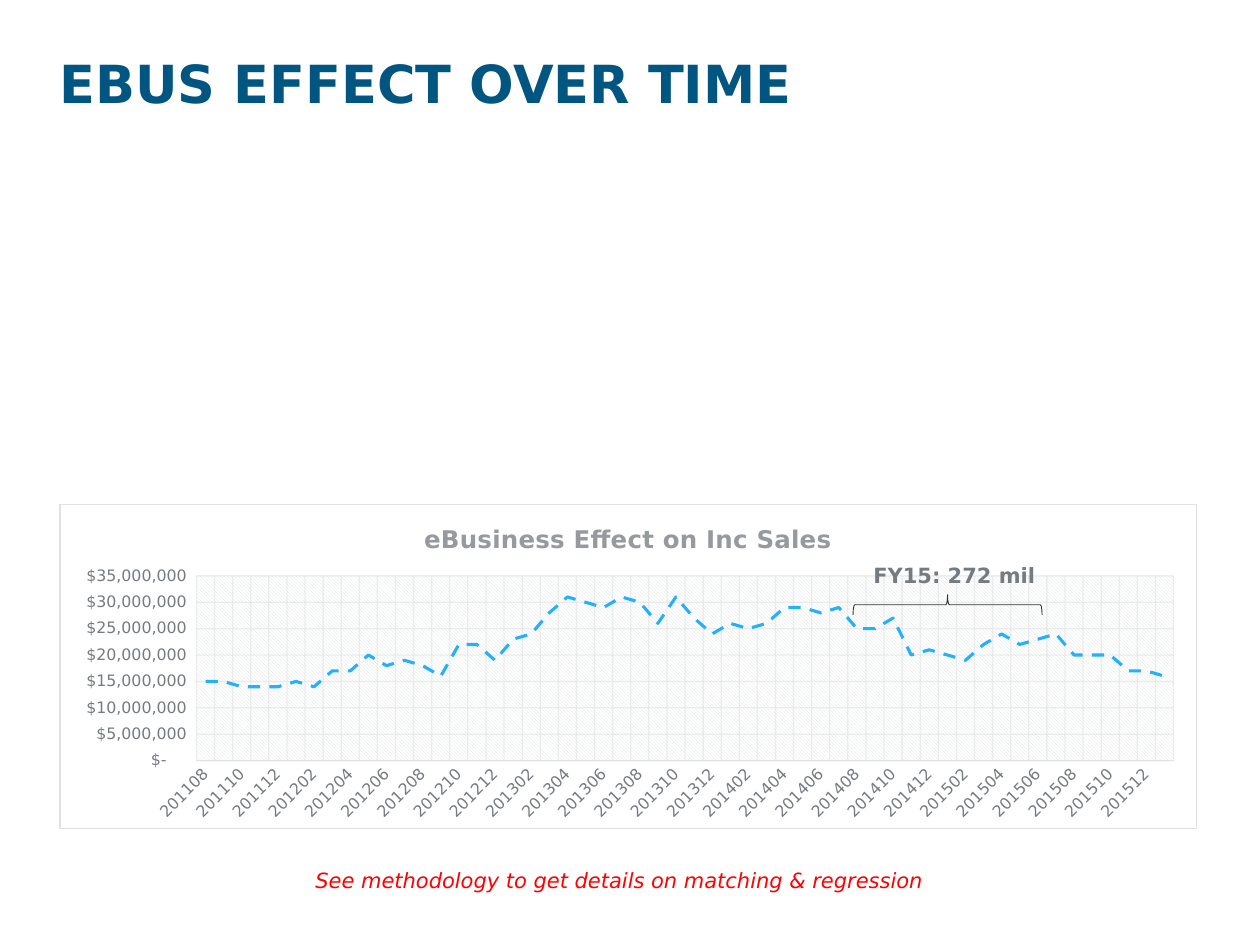
from dataclasses import dataclass

from lxml import etree
from pptx import Presentation
from pptx.chart.data import CategoryChartData as ChartData
from pptx.dml.color import RGBColor as Color
from pptx.enum.chart import XL_CHART_TYPE as ChartType, XL_TICK_MARK as Tick
from pptx.enum.dml import MSO_LINE as Dash
from pptx.enum.shapes import MSO_SHAPE as Preset
from pptx.enum.text import MSO_ANCHOR as Anchor, MSO_AUTO_SIZE as AutoSize, PP_ALIGN as Align
from pptx.oxml import parse_xml
from pptx.oxml.ns import nsdecls, qn
from pptx.util import Pt


@dataclass(frozen=True)
class Theme:
    face: str = "DejaVu Sans"
    heading: str = "005581"
    accent: str = "22B0FF"
    warning: str = "FF0000"
    dark: str = "323436"
    label: str = "767B80"
    caption: str = "96999D"
    rule: str = "DFE1E2"
    paper: str = "FFFFFF"
    title_size: float = 30
    caption_size: float = 14
    note_size: float = 12
    chart_size: float = 10
    axis_size: float = 9


def assign(target, values):
    for name, value in values.items():
        setattr(target, name, value)


class Page:
    def __init__(self, deck, theme):
        self.theme = theme
        self.slide = deck.slides.add_slide(deck.slide_layouts[5])

    def style(self, font, size, color, **values):
        assign(font, {"name": self.theme.face, "size": Pt(size), **values})
        font.color.rgb = Color.from_string(color)

    def stroke(self, line, color, width):
        line.color.rgb = Color.from_string(color)
        line.width = Pt(width)

    def title(self, text, left, top, width, height):
        box = self.slide.shapes.title
        assign(box, {"left": Pt(left), "top": Pt(top), "width": Pt(width), "height": Pt(height)})
        frame = box.text_frame
        margins = {f"margin_{side}": 0 for side in ("left", "top", "right", "bottom")}
        assign(frame, {**margins, "vertical_anchor": Anchor.TOP,
                       "auto_size": AutoSize.NONE, "word_wrap": True})
        para = frame.paragraphs[0]
        assign(para, {"alignment": Align.LEFT, "line_spacing": 0.9})
        span = para.add_run()
        span.text = text
        self.style(span.font, self.theme.title_size, self.theme.heading, bold=True)

    def note(self, text, left, top, width, height, color, align, **values):
        box = self.slide.shapes.add_textbox(Pt(left), Pt(top), Pt(width), Pt(height))
        assign(box.text_frame, {"word_wrap": False, "auto_size": AutoSize.SHAPE_TO_FIT_TEXT})
        para = box.text_frame.paragraphs[0]
        para.alignment = align
        span = para.add_run()
        span.text = text
        self.style(span.font, self.theme.note_size, color, **values)

    def brace(self, left, top, width, height):
        shape = self.slide.shapes.add_shape(
            Preset.LEFT_BRACE, Pt(left), Pt(top), Pt(width), Pt(height))
        shape.rotation = 90
        shape.shadow.inherit = False
        shape.fill.background()
        self.stroke(shape.line, self.theme.dark, 0.5)

    def axis(self, axis):
        assign(axis, {"has_major_gridlines": True, "major_tick_mark": Tick.NONE,
                      "minor_tick_mark": Tick.NONE})
        self.style(axis.tick_labels.font, self.theme.axis_size, self.theme.label)
        grid = axis.major_gridlines.format.line
        self.stroke(grid, self.theme.rule, 0.75)
        grid.dash_style = Dash.SOLID
        for color in axis.major_gridlines._xAx.find(qn("c:majorGridlines")).iter(qn("a:srgbClr")):
            etree.SubElement(color, qn("a:alpha"), val="54000")

    def chart_surfaces(self, chart, layout):
        theme = self.theme
        root = chart._chartSpace
        root.find(qn("c:chart")).addnext(parse_xml(
            f'<c:spPr {nsdecls("c", "a")}>'
            f'<a:solidFill><a:srgbClr val="{theme.paper}"/></a:solidFill>'
            f'<a:ln w="9525"><a:solidFill><a:srgbClr val="{theme.rule}"/></a:solidFill></a:ln>'
            '</c:spPr>'))
        area = root.find(qn("c:chart")).find(qn("c:plotArea"))
        for old in area.findall(qn("c:layout")):
            area.remove(old)
        sizes = "".join(f'<c:{name} val="{value}"/>' for name, value in layout.items())
        area.insert(0, parse_xml(
            f'<c:layout {nsdecls("c")}><c:manualLayout><c:layoutTarget val="inner"/>'
            f'<c:xMode val="edge"/><c:yMode val="edge"/>{sizes}</c:manualLayout></c:layout>'))
        area.append(parse_xml(
            f'<c:spPr {nsdecls("c", "a")}><a:pattFill prst="ltDnDiag">'
            f'<a:fgClr><a:srgbClr val="{theme.rule}"/></a:fgClr>'
            f'<a:bgClr><a:srgbClr val="{theme.paper}"/></a:bgClr></a:pattFill></c:spPr>'))

    def line_chart(self, title, months, values, left, top, width, height):
        theme = self.theme
        data = ChartData()
        data.categories = months
        data.add_series("Series 1", values)
        chart = self.slide.shapes.add_chart(
            ChartType.LINE, Pt(left), Pt(top), Pt(width), Pt(height), data).chart
        self.style(chart.font, theme.chart_size, theme.dark)
        assign(chart, {"has_legend": False, "has_title": True})
        chart.chart_title.include_in_layout = False
        span = chart.chart_title.text_frame.paragraphs[0].add_run()
        span.text = title
        self.style(span.font, theme.caption_size, theme.caption, bold=True)

        plot = chart.plots[0]
        plot.vary_by_categories = False
        series = plot.series[0]
        series.smooth = False
        self.stroke(series.format.line, theme.accent, 1.75)
        series.format.line.dash_style = Dash.DASH

        across, up = chart.category_axis, chart.value_axis
        for axis in (across, up):
            self.axis(axis)
        self.stroke(across.format.line, theme.rule, 0.75)
        element = across._element
        element.find(qn("c:txPr")).find(qn("a:bodyPr")).set("rot", "-2700000")
        skip = etree.Element(qn("c:tickLblSkip"), val="2")
        element.find(qn("c:lblOffset")).addnext(skip)
        up.format.line.fill.background()
        assign(up, {"minimum_scale": 0, "maximum_scale": 35_000_000, "major_unit": 5_000_000})
        assign(up.tick_labels, {
            "number_format": '_("$"* #,##0_);_("$"* \\(#,##0\\);_("$"* "-"??_);_(@_)',
            "number_format_is_linked": False})
        self.chart_surfaces(chart, {"x": 0.12, "y": 0.22, "w": 0.86, "h": 0.57})


MILLIONS = [
    15, 15, 14, 14, 14,
    15, 14, 17, 17, 20, 18, 19, 18, 16, 22, 22, 19,
    23, 24, 28, 31, 30, 29, 31, 30, 26, 31, 27, 24,
    26, 25, 26, 29, 29, 28, 29, 25, 25, 27, 20, 21,
    20, 19, 22, 24, 22, 23, 24, 20, 20, 20, 17, 17,
    16,
]


def main():
    theme = Theme()
    deck = Presentation()
    assign(deck, {"slide_width": Pt(720), "slide_height": Pt(540)})
    page = Page(deck, theme)
    months = [f"{2011 + step // 12}{step % 12 + 1:02d}" for step in range(7, 7 + len(MILLIONS))]
    sales = [value * 1_000_000 for value in MILLIONS]

    page.title("EBUS EFFECT OVER TIME", 34, 33, 495, 40)
    page.note("See methodology to get details on matching & regression",
              120, 492, 468, 22, theme.warning, Align.CENTER, italic=True)
    page.line_chart("eBusiness Effect on Inc Sales", months, sales, 34, 288, 650, 186)
    page.brace(535.7, 291.6, 11.5, 108)
    page.note("FY15: 272 mil", 492, 318, 108, 22, theme.label, Align.LEFT, bold=True)
    deck.save("out.pptx")


if __name__ == "__main__":
    main()
